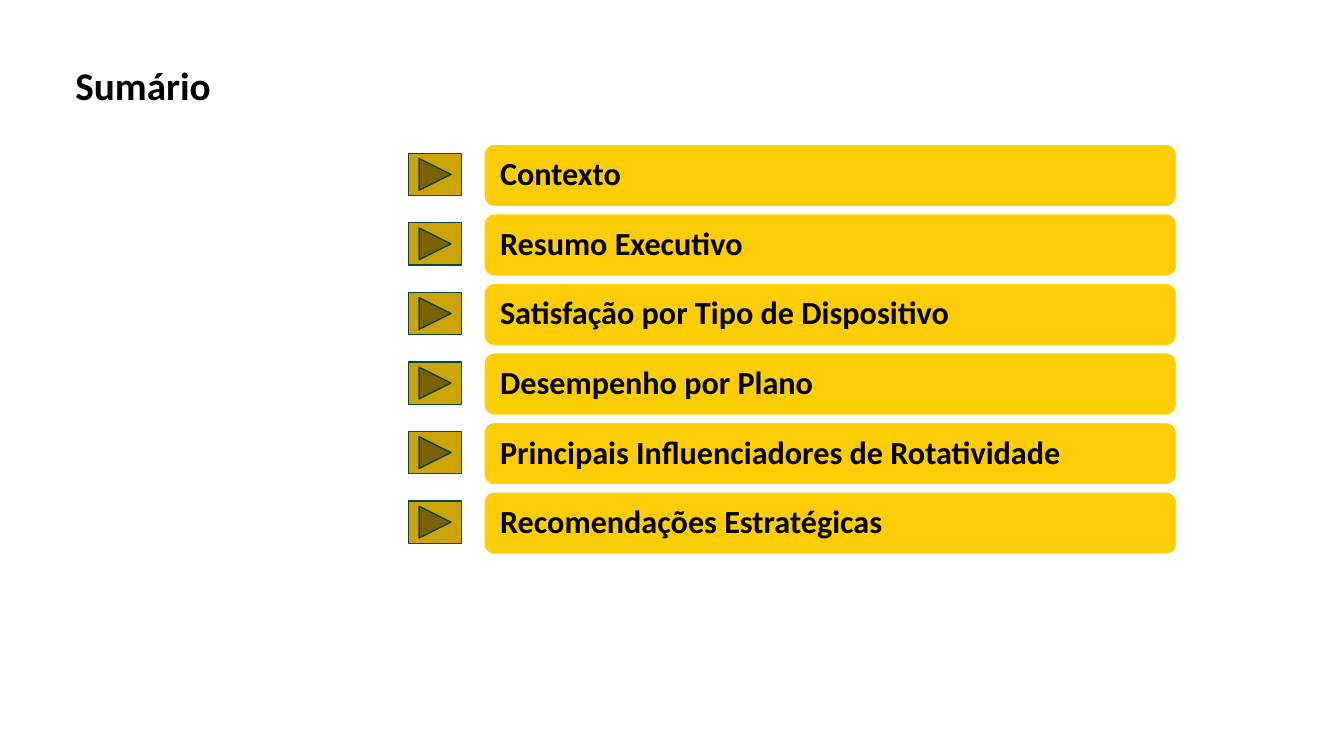
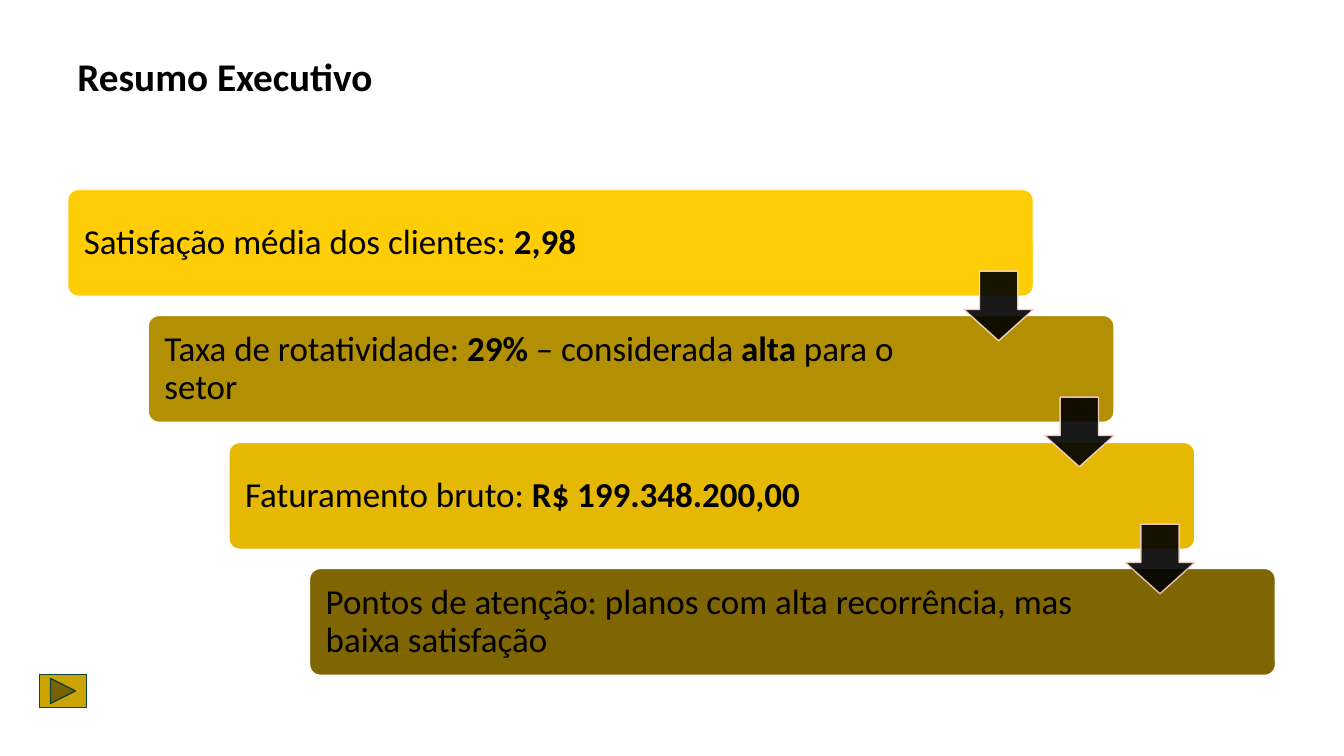
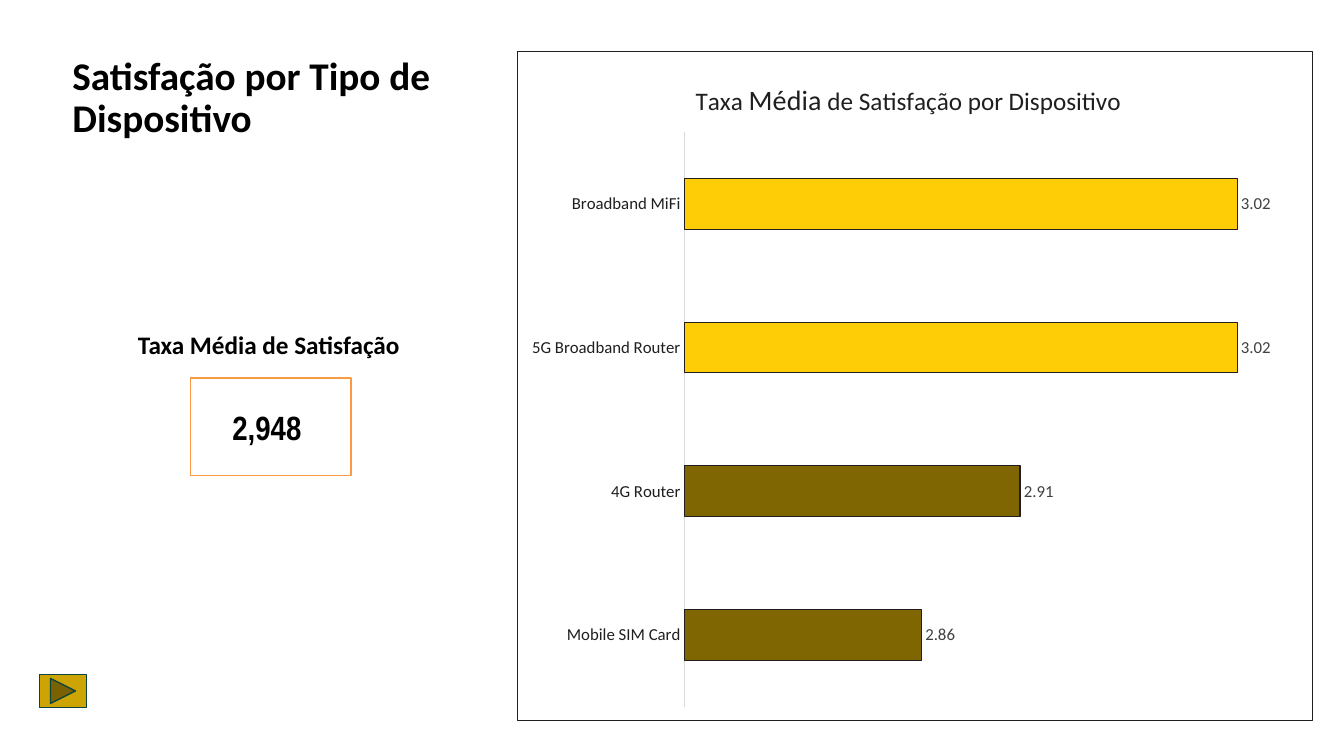
"""Build a short deck on customer satisfaction."""
from dataclasses import dataclass

from lxml.etree import SubElement
from pptx import Presentation
from pptx.chart.chart import Chart
from pptx.chart.data import CategoryChartData
from pptx.dml.color import RGBColor
from pptx.enum.chart import XL_CHART_TYPE, XL_LABEL_POSITION, XL_TICK_MARK
from pptx.enum.shapes import MSO_SHAPE
from pptx.enum.text import MSO_ANCHOR, PP_ALIGN
from pptx.oxml import parse_xml
from pptx.oxml.ns import nsdecls, qn
from pptx.shapes.autoshape import Shape
from pptx.slide import Slide
from pptx.text.text import Font, TextFrame
from pptx.util import Emu, Pt

SCALE = 9144
FACE = "Calibri"
HUES = {
    "black": "000000", "white": "FFFFFF", "gold": "FFCD05",
    "olive": "B28F03", "amber": "E5B804", "brown": "7F6602",
    "button": "CCA404", "teal": "0A4443", "orange": "FA9A42",
    "ink": "201E21", "label": "404040", "axis": "D9D9D9",
    "edge1": "FDDECF", "edge2": "F9D7CE", "edge3": "F4D2CE",
}


@dataclass(frozen=True)
class Box:
    """Place and size in px."""
    left: int
    top: int
    width: int
    height: int

    def emu(self) -> tuple[Emu, Emu, Emu, Emu]:
        """Give the four lengths in EMU."""
        return px(self.left), px(self.top), px(self.width), px(self.height)


@dataclass(frozen=True)
class Step:
    """One stair of the summary; every second phrase is bold."""
    hue: str
    words: tuple[str, ...]
    edge: str = ""


TOPICS = (
    "Contexto", "Resumo Executivo", "Satisfação por Tipo de Dispositivo",
    "Desempenho por Plano", "Principais Influenciadores de Rotatividade",
    "Recomendações Estratégicas",
)
STEPS = (
    Step("gold", ("Satisfação média dos clientes: ", "2,98"), "edge1"),
    Step("olive", ("Taxa de rotatividade: ", "29%", " – considerada ",
                   "alta", " para o setor"), "edge2"),
    Step("amber", ("Faturamento bruto: ", "R$ 199.348.200,00"), "edge3"),
    Step("brown", ("Pontos de atenção: planos com alta recorrência, "
                   "mas baixa satisfação",)),
)
RATES = {"Mobile SIM Card": 2.86, "4G Router": 2.91,
         "5G Broadband Router": 3.02, "Broadband MiFi": 3.02}
HEADING = (("Taxa ", 18), ("Média", 20), (" de Satisfação por Dispositivo", 18))
HOME = Box(39, 669, 47, 33)


def px(count: int) -> Emu:
    """Turn px into EMU."""
    return Emu(count * SCALE)


def tint(name: str) -> RGBColor:
    """Look up a colour."""
    return RGBColor.from_string(HUES[name])


def style(font: Font, size: int, hue: str = "black",
          bold: bool | None = None, face: str = FACE) -> None:
    """Set the look of a font."""
    font.name, font.size, font.bold = face, Pt(size), bold
    font.color.rgb = tint(hue)


def write(frame: TextFrame, words: tuple[str, ...], size: int,
          bold: bool | None = None, face: str = FACE,
          align: PP_ALIGN = PP_ALIGN.LEFT, space: float = 0.9) -> None:
    """Fill a frame with one paragraph."""
    frame.word_wrap = True
    para = frame.paragraphs[0]
    para.alignment, para.line_spacing = align, space
    style(para.font, size, bold=bold, face=face)
    for i, text in enumerate(words):
        run = para.add_run()
        run.text = text
        if i % 2:
            run.font.bold = True


def label(slide: Slide, box: Box, text: str, size: int = 28,
          space: float = 0.9) -> None:
    """Add a bold text box."""
    write(slide.shapes.add_textbox(*box.emu()).text_frame, (text,), size,
          bold=True, space=space)


def draw(slide: Slide, kind: MSO_SHAPE, box: Box, fill: str,
         line: str) -> Shape:
    """Add a flat preset shape."""
    shape = slide.shapes.add_shape(kind, *box.emu())
    shape.shadow.inherit = False
    shape.fill.solid()
    shape.fill.fore_color.rgb = tint(fill)
    shape.line.color.rgb = tint(line)
    shape.line.width = Pt(1)
    return shape


def button(slide: Slide, box: Box) -> None:
    """Add a forward button."""
    draw(slide, MSO_SHAPE.ACTION_BUTTON_FORWARD_OR_NEXT, box, "button", "teal")


def bar(slide: Slide, box: Box, fill: str, words: tuple[str, ...], size: int,
        bold: bool | None = None, right: int = 13) -> Shape:
    """Add a rounded bar with text."""
    shape = draw(slide, MSO_SHAPE.ROUNDED_RECTANGLE, box, fill, "white")
    frame = shape.text_frame
    frame.vertical_anchor = MSO_ANCHOR.MIDDLE
    frame.margin_left, frame.margin_right = px(13), px(right)
    write(frame, words, size, bold)
    return shape


def arrow(slide: Slide, box: Box, edge: str) -> None:
    """Add a slightly clear down arrow."""
    shape = draw(slide, MSO_SHAPE.DOWN_ARROW, box, "black", edge)
    shape.adjustments[0], shape.adjustments[1] = 0.55, 0.45
    for node in shape.element.spPr.iter(qn("a:srgbClr")):
        SubElement(node, qn("a:alpha"), val="90000")


def agenda(slide: Slide) -> None:
    """Draw the list of topics."""
    label(slide, Box(65, 61, 238, 68), "Sumário")
    for i, topic in enumerate(TOPICS):
        drop = 69 * i
        bar(slide, Box(480, 143 + drop, 687, 62), "gold", (topic,), 23, True)
        button(slide, Box(405, 152 + drop, 53, 42))


def summary(slide: Slide) -> None:
    """Draw the stairs of key figures."""
    label(slide, Box(67, 52, 1197, 84), "Resumo Executivo")
    spots = [(67 + 80 * i, 188 + 125 * i + i // 2) for i in range(len(STEPS))]
    for step, (left, top) in zip(STEPS, spots):
        shape = bar(slide, Box(left, top, 958, 106), step.hue, step.words, 25,
                    right=163)
        shape.adjustments[0] = 0.1
    for step, (left, top) in zip(STEPS, spots):
        if step.edge:
            arrow(slide, Box(left + 889, top + 81, 69, 69), step.edge)
    button(slide, HOME)


def layout(spot: dict[str, float], inner: bool = False):
    """Make a manual chart layout."""
    target = '<c:layoutTarget val="inner"/>' if inner else ""
    modes = "".join(f'<c:{k}Mode val="edge"/>' for k in ("x", "y"))
    sizes = "".join(f'<c:{k} val="{v}"/>' for k, v in spot.items())
    return parse_xml(f'<c:layout {nsdecls("c")}><c:manualLayout>{target}'
                     f'{modes}{sizes}</c:manualLayout></c:layout>')


def place(owner, node, index: int) -> None:
    """Swap a layout into its owner."""
    for old in owner.findall(qn("c:layout")):
        owner.remove(old)
    owner.insert(index, node)


def frame(chart: Chart) -> None:
    """Give the chart a border and fixed layout."""
    root = chart.element
    root.find(qn("c:chart")).addnext(parse_xml(
        f'<c:spPr {nsdecls("c", "a")}><a:solidFill>'
        f'<a:srgbClr val="{HUES["white"]}"/></a:solidFill><a:ln w="9525">'
        f'<a:solidFill><a:srgbClr val="{HUES["ink"]}"/></a:solidFill>'
        '</a:ln></c:spPr>'))
    place(root.find(".//" + qn("c:plotArea")), layout(
        {"x": 0.21, "y": 0.12, "w": 0.77, "h": 0.86}, True), 0)
    place(root.find(".//" + qn("c:title")), layout({"x": 0.22, "y": 0.04}), 1)


def graph(slide: Slide, box: Box) -> None:
    """Add the bar chart of rates."""
    data = CategoryChartData(number_format="0.00")
    data.categories = list(RATES)
    data.add_series("Series 1", list(RATES.values()))
    chart = slide.shapes.add_chart(
        XL_CHART_TYPE.BAR_CLUSTERED, *box.emu(), data).chart
    style(chart.font, 10)
    chart.has_legend = False
    title = chart.chart_title
    para = title.text_frame.paragraphs[0]
    style(para.font, 18, "ink", False)
    for text, size in HEADING:
        run = para.add_run()
        run.text = text
        style(run.font, size, "ink", False)
    cats, rates = chart.category_axis, chart.value_axis
    cats.major_tick_mark = XL_TICK_MARK.NONE
    cats.format.line.color.rgb = tint("axis")
    cats.format.line.width = Pt(0.75)
    style(cats.tick_labels.font, 12, "ink")
    rates.visible = rates.has_major_gridlines = False
    rates.minimum_scale, rates.maximum_scale = 2.74, 3.05
    plot = chart.plots[0]
    plot.gap_width, plot.vary_by_categories = 182, False
    for i, rate in enumerate(RATES.values()):
        form = plot.series[0].points[i].format
        form.fill.solid()
        form.fill.fore_color.rgb = tint("gold" if rate > 3 else "brown")
        form.line.color.rgb = tint("ink")
        form.line.width = Pt(0.75)
    plot.has_data_labels = True
    marks = plot.data_labels
    marks.show_value, marks.position = True, XL_LABEL_POSITION.OUTSIDE_END
    marks.number_format, marks.number_format_is_linked = "0.00", False
    style(marks.font, 12, "label")
    frame(chart)


def devices(slide: Slide) -> None:
    """Draw the rates by device."""
    label(slide, Box(62, 51, 393, 103), "Satisfação por Tipo de Dispositivo")
    graph(slide, Box(513, 51, 789, 664))
    card = draw(slide, MSO_SHAPE.RECTANGLE, Box(189, 375, 159, 97),
                "white", "orange")
    card.text_frame.vertical_anchor = MSO_ANCHOR.MIDDLE
    write(card.text_frame, ("2,948 ",), 24, True, "Arial Narrow",
          PP_ALIGN.CENTER, 1.0)
    label(slide, Box(127, 322, 337, 40), "Taxa Média de Satisfação", 18, 1.0)
    button(slide, HOME)


def main() -> None:
    """Build and save the deck."""
    deck = Presentation()
    deck.slide_width, deck.slide_height = px(1333), px(750)
    for fill in (agenda, summary, devices):
        fill(deck.slides.add_slide(deck.slide_layouts[6]))
    deck.save("out.pptx")


if __name__ == "__main__":
    main()
